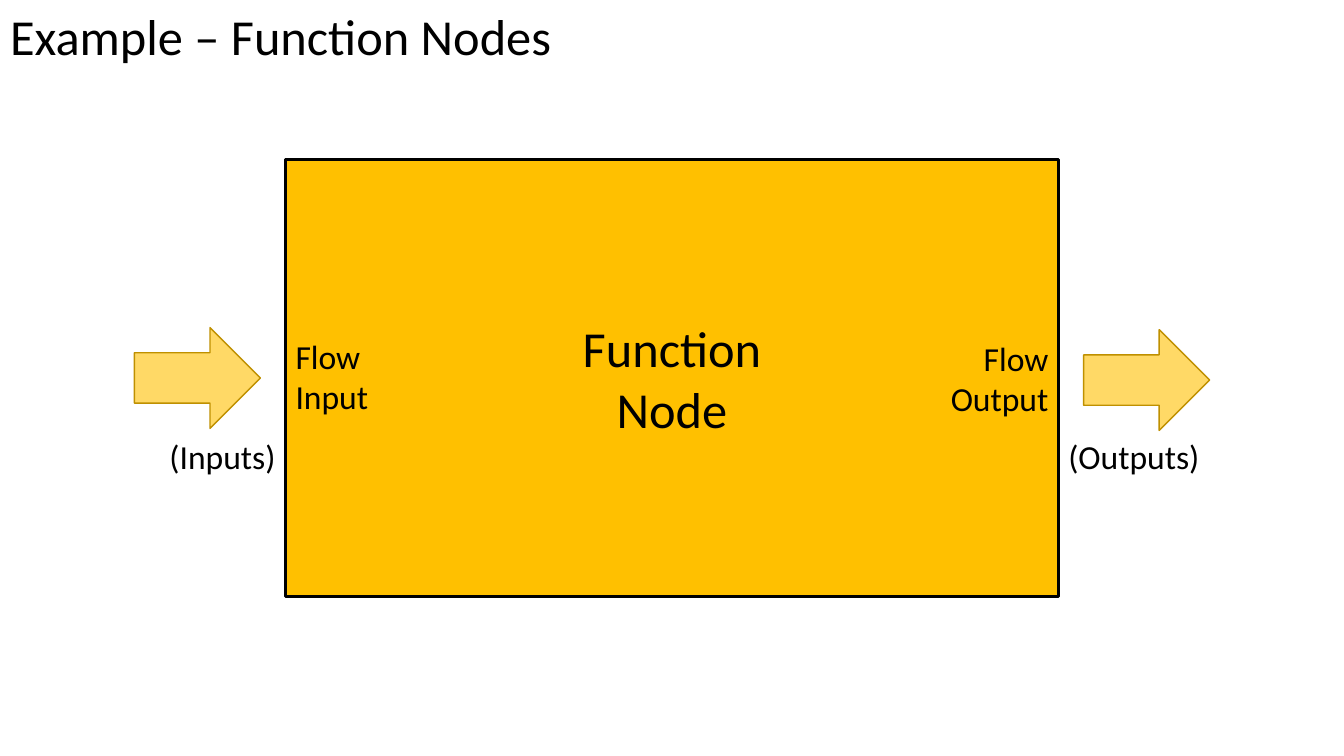
"""Build the slide showing a function node with its flow input and output."""
import pptx
import pptx.util
import pptx.dml.color
import pptx.enum.shapes
import pptx.enum.text

Pt = pptx.util.Pt
ALIGN = pptx.enum.text.PP_ALIGN
ANCHOR = pptx.enum.text.MSO_ANCHOR
SHAPE = pptx.enum.shapes.MSO_SHAPE
COLORS = {
    "text": "000000",
    "node": "FFC000",
    "arrow": "FFD966",
    "arrow_edge": "BF9000",
}


def write(shape, text, size, align, anchor=ANCHOR.TOP):
    frame = shape.text_frame
    frame.word_wrap = True
    frame.auto_size = pptx.enum.text.MSO_AUTO_SIZE.NONE
    frame.vertical_anchor = anchor
    frame.text = text
    for paragraph in frame.paragraphs:
        paragraph.alignment = align
        for run in paragraph.runs:
            run.font.name = "Calibri"
            run.font.size = Pt(size)
            run.font.color.rgb = pptx.dml.color.RGBColor.from_string(COLORS["text"])


def add_block(preset, left, top, width, height, fill, edge, edge_width):
    block = slide.shapes.add_shape(preset, Pt(left), Pt(top), Pt(width), Pt(height))
    block.shadow.inherit = False
    block.fill.solid()
    block.fill.fore_color.rgb = pptx.dml.color.RGBColor.from_string(COLORS[fill])
    block.line.color.rgb = pptx.dml.color.RGBColor.from_string(COLORS[edge])
    block.line.width = Pt(edge_width)
    return block


presentation = pptx.Presentation()
presentation.slide_width = Pt(960)
presentation.slide_height = Pt(540)
slide = presentation.slides.add_slide(presentation.slide_layouts[5])

title = slide.shapes.title
title.left, title.top, title.width, title.height = Pt(0), Pt(0), Pt(624), Pt(51)
write(title, "Example – Function Nodes", 36, ALIGN.LEFT)

function_node = add_block(SHAPE.RECTANGLE, 204, 114, 552, 312, "node", "text", 2.25)
write(function_node, "Function\nNode", 36, ALIGN.CENTER, ANCHOR.MIDDLE)

for left, top in [(96, 234), (774, 235.5)]:
    add_block(SHAPE.RIGHT_ARROW, left, top, 90, 72, "arrow", "arrow_edge", 1)

flow_labels = [
    ("Flow\nInput", 204, 236.25, 120, 65.5, ALIGN.LEFT),
    ("Flow\nOutput", 636, 237.5, 120, 65.5, ALIGN.RIGHT),
    ("(Inputs)", 63, 307.5, 141, 36, ALIGN.RIGHT),
    ("(Outputs)", 756, 307.5, 141, 36, ALIGN.LEFT),
]
for text, left, top, width, height, align in flow_labels:
    label = slide.shapes.add_textbox(Pt(left), Pt(top), Pt(width), Pt(height))
    write(label, text, 24, align)

presentation.save("out.pptx")
